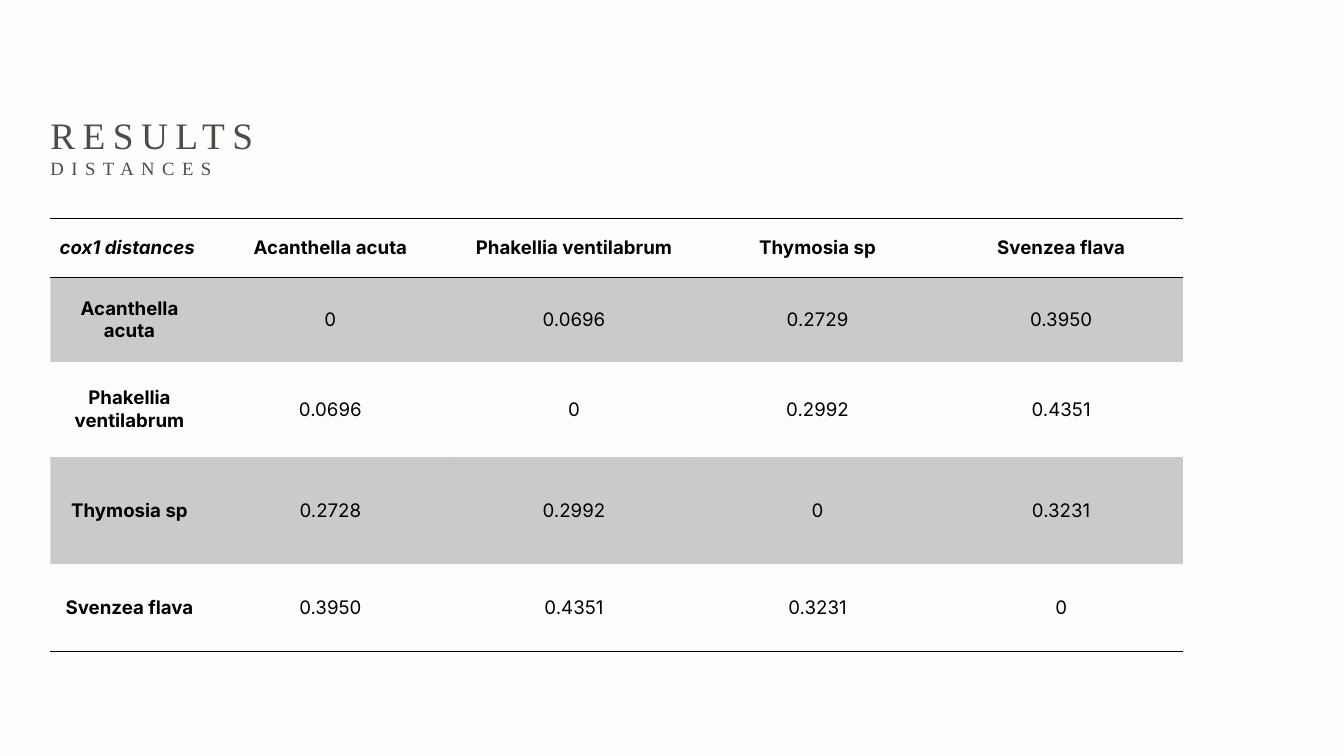
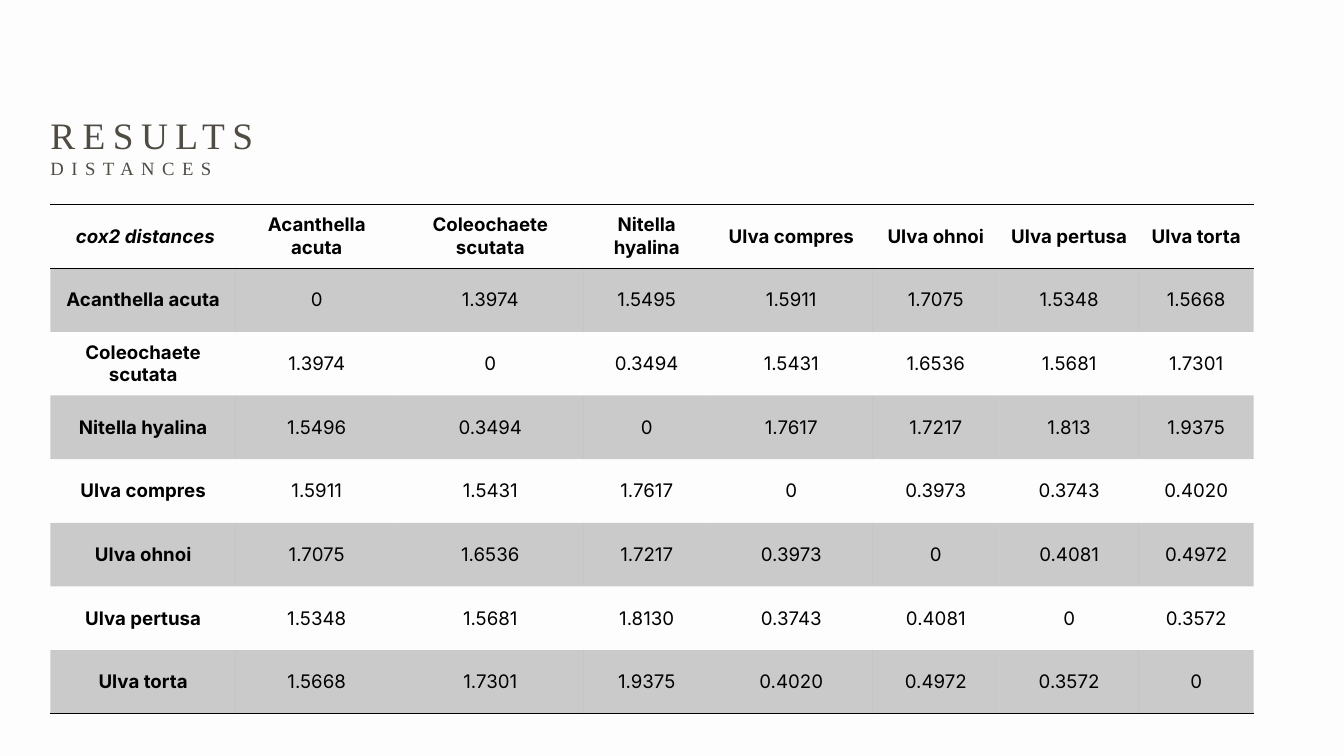
from lxml import etree
from pptx import Presentation
from pptx import util as u
from pptx.dml.color import RGBColor
from pptx.enum import text
from pptx.oxml import ns

PX = 9525  # 96 px to the inch
BLACK, INK, PAPER = "000000", "504C44", "FDFDFD"
PLAIN = "{2D5ABB26-0587-4C30-8999-92F81FD0307C}"  # no style, no grid
LEFT = 72


def rgb(code):
    return RGBColor.from_string(code)


def rule(cell, side):
    """Draw a thin black line on one side of a cell."""
    line = etree.SubElement(cell._tc.get_or_add_tcPr(), ns.qn("a:" + side), w="12700")
    fill = etree.SubElement(line, ns.qn("a:solidFill"))
    etree.SubElement(fill, ns.qn("a:srgbClr"), val=BLACK)


# Tables: label, top, column widths, row heights, names, values
tables = [
    ("cox1 distances ", 312, [226] + [348] * 4, [84, 121, 136, 153, 125],
     ["Acanthella acuta", "Phakellia ventilabrum", "Thymosia sp", "Svenzea flava"],
     ["0 0.0696 0.2729 0.3950",
      "0.0696 0 0.2992 0.4351",
      "0.2728 0.2992 0 0.3231",
      "0.3950 0.4351 0.3231 0"]),
    (" cox2 distances", 292, [265, 231, 265, 182, 231, 182, 199, 164], [91] * 8,
     ["Acanthella acuta", "Coleochaete scutata", "Nitella hyalina", "Ulva compres",
      "Ulva ohnoi", "Ulva pertusa", "Ulva torta"],
     ["0 1.3974 1.5495 1.5911 1.7075 1.5348 1.5668",
      "1.3974 0 0.3494 1.5431 1.6536 1.5681 1.7301",
      "1.5496 0.3494 0 1.7617 1.7217 1.813 1.9375",
      "1.5911 1.5431 1.7617 0 0.3973 0.3743 0.4020",
      "1.7075 1.6536 1.7217 0.3973 0 0.4081 0.4972",
      "1.5348 1.5681 1.8130 0.3743 0.4081 0 0.3572",
      "1.5668 1.7301 1.9375 0.4020 0.4972 0.3572 0"]),
]

deck = Presentation()
deck.slide_width, deck.slide_height = 1920 * PX, 1080 * PX

for label, top, widths, heights, names, values in tables:
    slide = deck.slides.add_slide(deck.slide_layouts[6])
    slide.background.fill.solid()
    slide.background.fill.fore_color.rgb = rgb(PAPER)

    # Title and subtitle
    box = slide.shapes.add_textbox(LEFT * PX, 150 * PX, 760 * PX, 108 * PX)
    frame = box.text_frame
    frame.word_wrap = True
    frame.auto_size = text.MSO_AUTO_SIZE.SHAPE_TO_FIT_TEXT
    frame.margin_left = frame.margin_right = frame.margin_top = frame.margin_bottom = 0
    frame.text = "RESULTS\nDISTANCES"
    for para, size in zip(frame.paragraphs, (40, 20)):
        para.font.name = "Times New Roman"
        para.font.size = u.Pt(size)
        para.font.color.rgb = rgb(INK)
        para.runs[0]._r.get_or_add_rPr().set("spc", "800")
    frame.paragraphs[0].line_spacing = u.Pt(56)

    # Distance table
    rows = [[label] + names]
    rows += [[name] + line.split() for name, line in zip(names, values)]
    table = slide.shapes.add_table(
        len(rows), len(widths), LEFT * PX, top * PX,
        sum(widths) * PX, sum(heights) * PX).table
    table.first_row = table.horz_banding = False
    table._tbl.tblPr.find(ns.qn("a:tableStyleId")).text = PLAIN
    for col, width in zip(table.columns, widths):
        col.width = width * PX
    for row, height in zip(table.rows, heights):
        row.height = height * PX

    for r, row in enumerate(rows):
        for c, value in enumerate(row):
            cell = table.cell(r, c)
            cell.text = value
            cell.vertical_anchor = text.MSO_ANCHOR.MIDDLE
            cell.margin_left = cell.margin_right = 7 * PX
            cell.margin_top = cell.margin_bottom = 0
            para = cell.text_frame.paragraphs[0]
            para.alignment = text.PP_ALIGN.CENTER
            para.font.name = "Inter"
            para.font.size = u.Pt(20)
            para.font.color.rgb = rgb(BLACK)
            para.font.bold = r == 0 or c == 0
            para.font.italic = r == 0 and c == 0

            # Rules around the header and below the last row
            if r == 0:
                rule(cell, "lnT")
            if r in (0, len(rows) - 1):
                rule(cell, "lnB")

            # Bands of see-through black on every other row
            if r % 2:
                cell.fill.solid()
                cell.fill.fore_color.rgb = rgb(BLACK)
                tint = cell._tc.tcPr.find(ns.qn("a:solidFill"))[0]
                etree.SubElement(tint, ns.qn("a:alpha"), val="20000")
            else:
                cell.fill.background()

deck.save("out.pptx")
